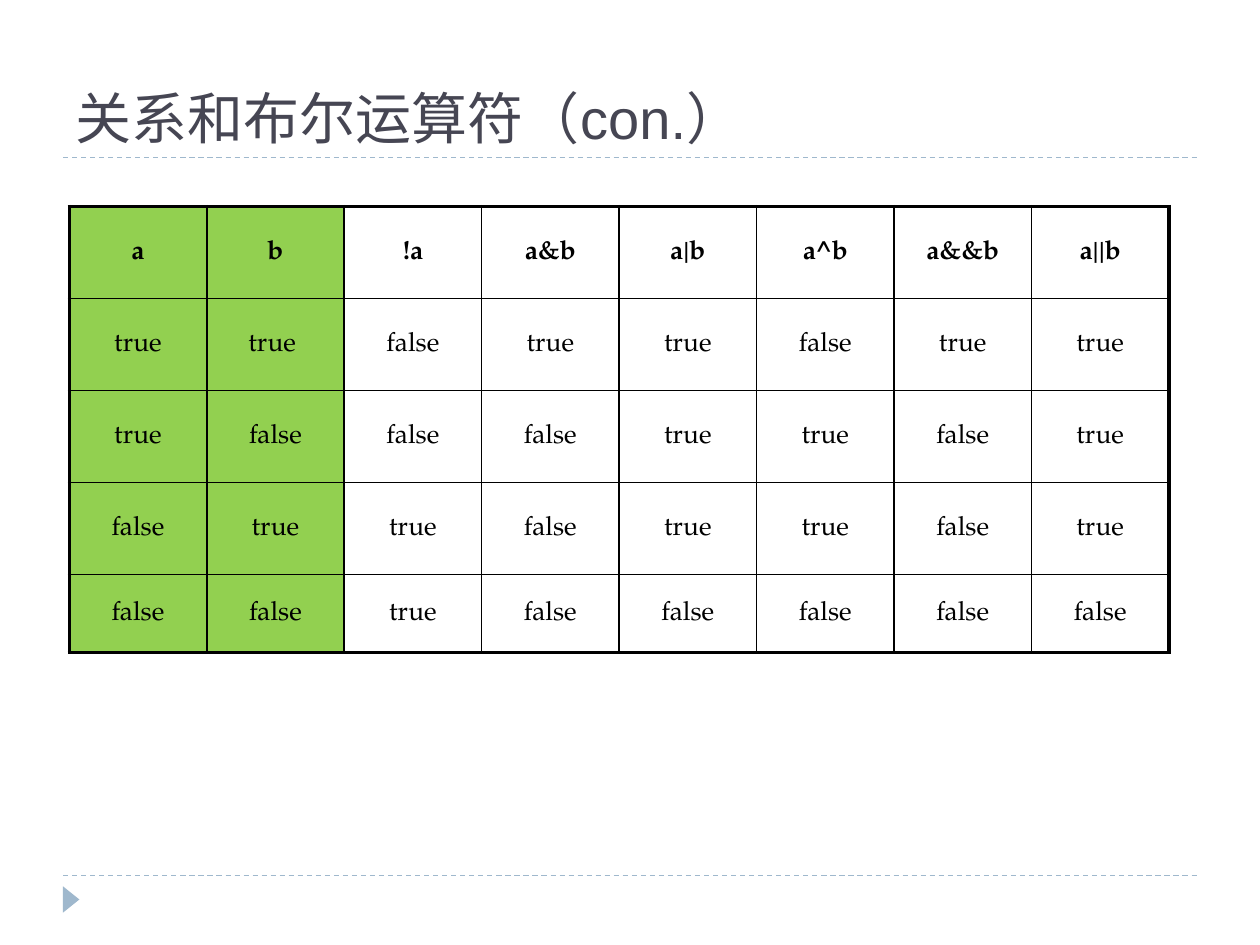
from dataclasses import dataclass

from lxml.etree import SubElement
from pptx import Presentation
from pptx.dml.color import RGBColor
from pptx.enum.dml import MSO_LINE_DASH_STYLE as Dash
from pptx.enum.shapes import MSO_CONNECTOR as Connector, MSO_SHAPE as Shape
from pptx.enum.text import MSO_ANCHOR as Anchor, MSO_AUTO_SIZE as AutoSize, PP_ALIGN as Align
from pptx.oxml.ns import qn
from pptx.util import Pt


@dataclass(frozen=True)
class Theme:
    """Colours, fonts and sizes of the slide."""
    title_color: RGBColor = RGBColor.from_string("464653")
    accent: RGBColor = RGBColor.from_string("9FB8CD")
    operand_fill: RGBColor = RGBColor.from_string("92D050")
    ink: RGBColor = RGBColor.from_string("000000")
    title_font: str = "Arial"
    table_font: str = "TeX Gyre Pagella"
    title_size: float = 32
    table_size: float = 15
    rule_width: float = 0.75
    inner_border: float = 1
    outer_border: float = 2.25


@dataclass(frozen=True)
class Box:
    """A rectangle in points."""
    left: float
    top: float
    width: float
    height: float

    def lengths(self):
        """Return the four measures as lengths."""
        return Pt(self.left), Pt(self.top), Pt(self.width), Pt(self.height)


THEME = Theme()
OPERAND_COLUMNS = 2
LAST_ROW_RATIO = 0.85
TRUTH_TABLE = [
    ["a", "b", "!a", "a&b", "a|b", "a^b", "a&&b", "a||b"],
    ["true", "true ", "false", "true", "true", "false", "true", "true"],
    ["true", "false", "false", "false", "true", "true", "false", "true"],
    ["false", "true", "true", "false", "true", "true", "false", "true"],
    ["false", "false", "true", "false", "false", "false", "false", "false"],
]


def add_rule(slide, box, y):
    """Draw a dashed rule across the box at height y."""
    rule = slide.shapes.add_connector(
        Connector.STRAIGHT, Pt(box.left), Pt(y), Pt(box.left + box.width), Pt(y))
    rule.line.color.rgb = THEME.accent
    rule.line.width = Pt(THEME.rule_width)
    rule.line.dash_style = Dash.DASH
    SubElement(rule._element.spPr, qn("a:effectLst"))


def add_footer(slide, box):
    """Draw the footer rule and the triangle marker below it."""
    add_rule(slide, box, box.top)
    marker_box = Box(box.left - 2.9, box.top + 8.9, 15.1, 9.4)
    marker = slide.shapes.add_shape(Shape.ISOSCELES_TRIANGLE, *marker_box.lengths())
    marker.rotation = 90
    marker.shadow.inherit = False
    marker.fill.solid()
    marker.fill.fore_color.rgb = THEME.accent
    marker.line.fill.background()


def add_heading(slide, box, text):
    """Place the title in the box with a rule along its lower edge."""
    add_rule(slide, box, box.top + box.height)
    title = slide.shapes.title
    title.left, title.top, title.width, title.height = box.lengths()
    frame = title.text_frame
    frame.text = text
    frame.auto_size = AutoSize.NONE
    frame.vertical_anchor = Anchor.BOTTOM
    paragraph = frame.paragraphs[0]
    paragraph.alignment = Align.LEFT
    paragraph.font.name = THEME.title_font
    paragraph.font.size = Pt(THEME.title_size)
    paragraph.font.color.rgb = THEME.title_color


def set_borders(cell, outer_sides):
    """Draw the four cell borders, heavier on the outer sides."""
    properties = cell._tc.get_or_add_tcPr()
    for side, is_outer in outer_sides.items():
        width = THEME.outer_border if is_outer else THEME.inner_border
        line = SubElement(properties, qn(f"a:ln{side}"), w=str(Pt(width)))
        fill = SubElement(line, qn("a:solidFill"))
        SubElement(fill, qn("a:srgbClr"), val=str(THEME.ink))


def format_cell(cell, text, is_header, is_operand):
    """Write the text of one cell and set its fill."""
    cell.margin_left = cell.margin_right = Pt(8.6)
    cell.margin_top = cell.margin_bottom = Pt(4.3)
    cell.vertical_anchor = Anchor.MIDDLE
    if is_operand:
        cell.fill.solid()
        cell.fill.fore_color.rgb = THEME.operand_fill
    else:
        cell.fill.background()
    cell.text = text
    paragraph = cell.text_frame.paragraphs[0]
    paragraph.alignment = Align.CENTER
    paragraph.line_spacing = 0.9
    paragraph.font.name = THEME.table_font
    paragraph.font.size = Pt(THEME.table_size)
    paragraph.font.bold = is_header
    paragraph.font.color.rgb = THEME.ink


def add_truth_table(slide, box, rows):
    """Fill the box with the table of operators, its last row lower."""
    last_row, last_column = len(rows) - 1, len(rows[0]) - 1
    table = slide.shapes.add_table(len(rows), len(rows[0]), *box.lengths()).table
    table.horz_banding = False
    row_height = box.height / (last_row + LAST_ROW_RATIO)
    for column in table.columns:
        column.width = Pt(box.width / len(rows[0]))
    for r, values in enumerate(rows):
        table.rows[r].height = Pt(row_height * (LAST_ROW_RATIO if r == last_row else 1))
        for c, text in enumerate(values):
            cell = table.cell(r, c)
            set_borders(cell, {"L": c == 0, "R": c == last_column,
                               "T": r == 0, "B": r == last_row})
            format_cell(cell, text, r == 0, c < OPERAND_COLUMNS)


def main():
    """Build and save the slide."""
    presentation = Presentation()
    presentation.slide_width, presentation.slide_height = Pt(720), Pt(540)
    slide = presentation.slides.add_slide(presentation.slide_layouts[5])
    add_footer(slide, Box(36, 500.4, 648, 27))
    add_heading(slide, Box(36, 12.2, 648, 77.8), "关系和布尔运算符（con.）")
    add_truth_table(slide, Box(39.6, 118.1, 628.6, 254.9), TRUTH_TABLE)
    presentation.save("out.pptx")


if __name__ == "__main__":
    main()
